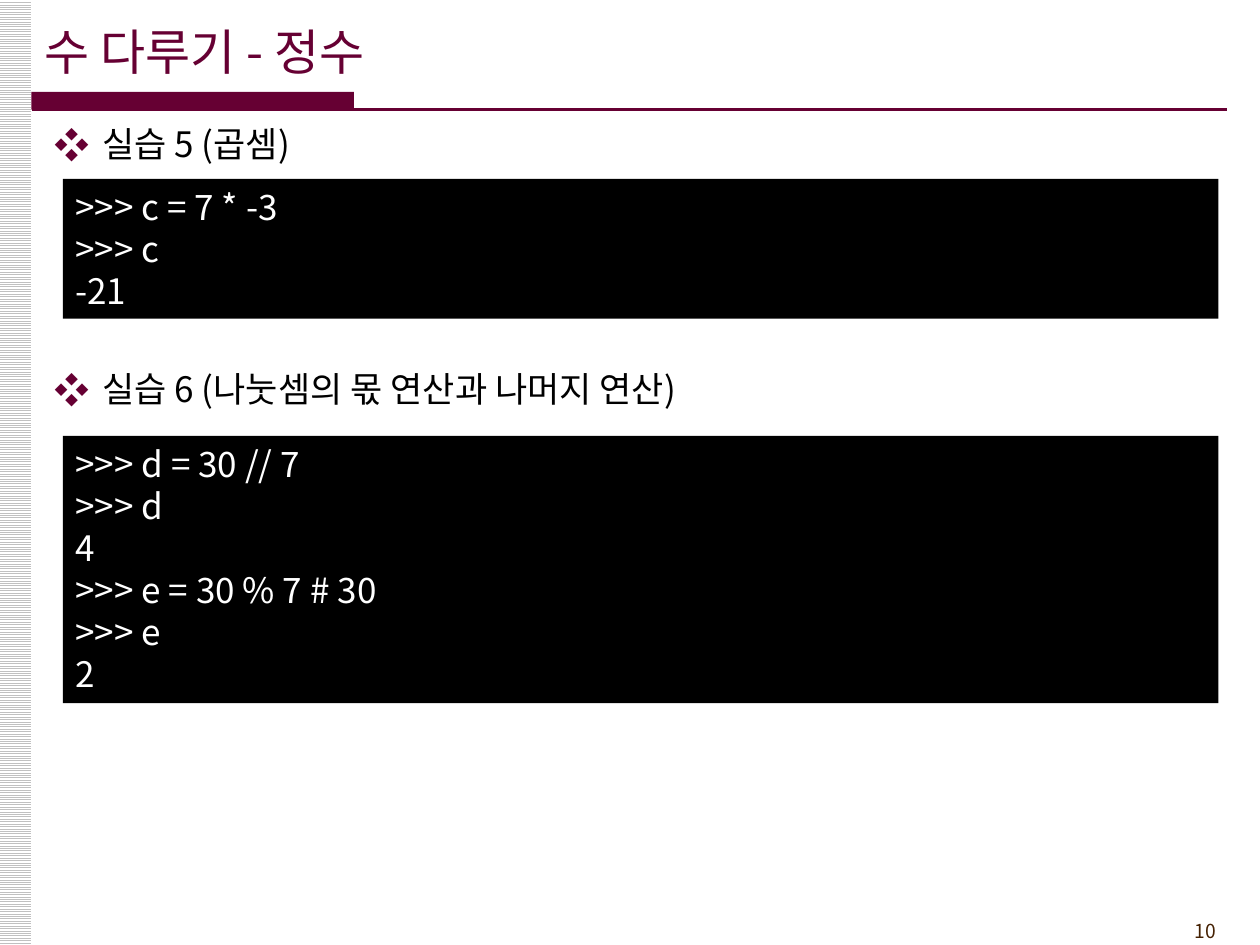
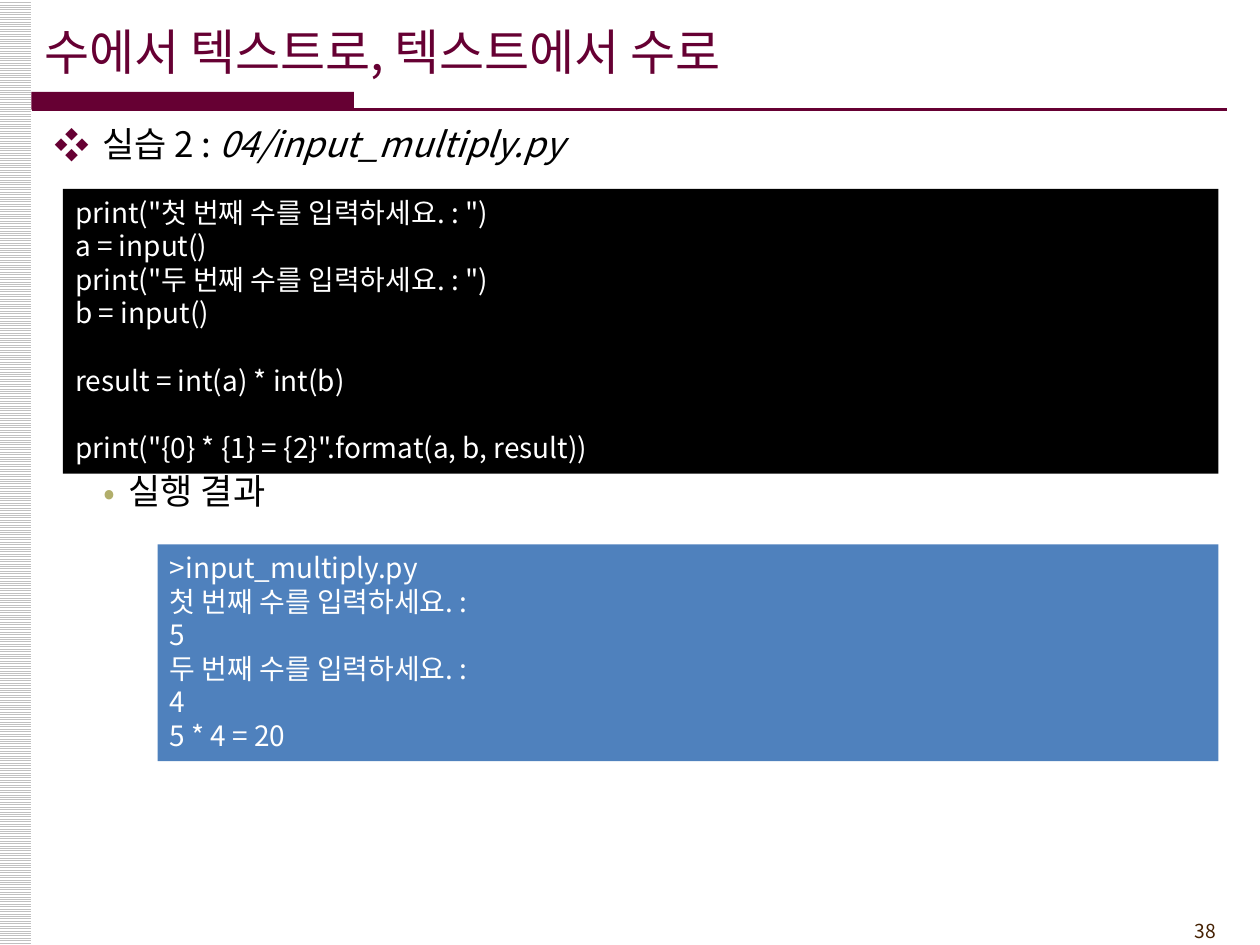
from lxml.etree import SubElement
from pptx import Presentation
from pptx.dml.color import RGBColor
from pptx.enum.dml import MSO_PATTERN as Pattern
from pptx.enum.shapes import MSO_CONNECTOR as Connector, MSO_SHAPE as Shape
from pptx.enum.text import MSO_ANCHOR as Anchor, MSO_AUTO_SIZE as AutoSize, PP_ALIGN as Align
from pptx.oxml.ns import qn
from pptx.util import Inches, Pt

WINE = RGBColor(0x66, 0x00, 0x33)
OLIVE = RGBColor(0xB1, 0xAE, 0x6B)
BROWN = RGBColor(0x45, 0x21, 0x03)
BLUE = RGBColor(0x4F, 0x81, 0xBD)
SILVER = RGBColor(0xC0, 0xC0, 0xC0)
BLACK = RGBColor(0, 0, 0)
WHITE = RGBColor(255, 255, 255)

FONT = "Noto Sans CJK KR"
LINE_RATIO = 1.2      # line height relative to text size
BODY_SIZE = 20
BODY_GAP = 4          # points before each list item
RIGHT_EDGE = 9.67     # shared right side of the code boxes


class Lesson:
    """Holds the deck, its style and the page being built."""

    def __init__(self):
        self.deck = Presentation()
        self.deck.slide_width, self.deck.slide_height = Inches(10), Inches(7.5)
        self.page = None

    def start_page(self, title, number):
        self.page = self.deck.slides.add_slide(self.deck.slide_layouts[1])
        # Side strip, title bar and rule
        strip = self.rect(-0.01, 0, 0.26, 7.5)
        strip.fill.patterned()
        strip.fill.pattern = Pattern.LIGHT_HORIZONTAL
        strip.fill.fore_color.rgb, strip.fill.back_color.rgb = SILVER, WHITE
        self.rect(0.25, 0.73, 2.56, 0.14, WINE)
        self.rule(0.25, 9.74, 0.87)
        # Title
        box = self.page.shapes.title
        self.place(box, 0.25, 0.09, 8.27, 0.63)
        self.frame(box, Anchor.MIDDLE)
        para = box.text_frame.paragraphs[0]
        para.alignment = Align.LEFT
        self.span(para, title, 28, WINE)
        # Page number
        box = self.page.shapes.add_textbox(Inches(8.92), Inches(7.25), Inches(0.83), Inches(0.29))
        self.frame(box)
        para = box.text_frame.paragraphs[0]
        para.alignment = Align.RIGHT
        self.span(para, str(number), 11, BROWN)

    def place(self, box, left, top, width, height):
        box.left, box.top = Inches(left), Inches(top)
        box.width, box.height = Inches(width), Inches(height)

    def frame(self, box, anchor=Anchor.TOP, fit=AutoSize.NONE):
        box.text_frame.word_wrap = True
        box.text_frame.auto_size = fit
        box.text_frame.vertical_anchor = anchor

    def span(self, para, text, size, color, italic=False):
        run = para.add_run()
        run.text = text
        run.font.size, run.font.name = Pt(size), FONT
        run.font.color.rgb = color
        run.font.italic = italic
        SubElement(run.font._element, qn("a:ea"), typeface=FONT)

    def rect(self, left, top, width, height, color=None):
        box = self.page.shapes.add_shape(
            Shape.RECTANGLE, Inches(left), Inches(top), Inches(width), Inches(height))
        box.shadow.inherit = False
        box.line.fill.background()
        if color is not None:
            box.fill.solid()
            box.fill.fore_color.rgb = color
        return box

    def rule(self, left, right, top):
        line = self.page.shapes.add_connector(
            Connector.STRAIGHT, Inches(left), Inches(top), Inches(right), Inches(top))
        line.line.color.rgb, line.line.width = WINE, Pt(1.5)
        SubElement(line._element.spPr, qn("a:effectLst"))

    def bullet(self, para, mark, color, margin, hanging):
        props = para._p.get_or_add_pPr()
        props.set("marL", str(Inches(margin)))
        props.set("indent", str(-Inches(hanging)))
        tint = SubElement(props, qn("a:buClr"))
        SubElement(tint, qn("a:srgbClr"), val=str(color))
        SubElement(props, qn("a:buFont"), typeface=FONT)
        SubElement(props, qn("a:buChar"), char=mark)

    def body(self):
        box = self.page.placeholders[1]
        self.place(box, 0.33, 0.92, 9.5, 6.25)
        self.frame(box)
        return box.text_frame

    def item(self, para, spans, lines_above=0, level=0):
        """Add a list item, leaving room for a code box of some lines above it."""
        pitch = BODY_SIZE * LINE_RATIO + BODY_GAP
        para.level = level
        para.space_before = Pt(BODY_GAP + lines_above * pitch)
        if level:
            para.line_spacing, para.space_after = 1.1, Pt(3)
            self.bullet(para, "•", OLIVE, 0.59, 0.2)
        else:
            self.bullet(para, "❖", WINE, 0.38, 0.38)
        for text, italic in spans:
            self.span(para, text, BODY_SIZE, BLACK, italic)

    def code(self, left, top, height, size, *blocks, color=BLACK):
        """Draw a code box; blocks are set one line apart."""
        box = self.rect(left, top, RIGHT_EDGE - left, height, color)
        self.frame(box, fit=AutoSize.SHAPE_TO_FIT_TEXT)
        para = None
        for block in blocks:
            for index, text in enumerate(block):
                first = para is None
                para = box.text_frame.paragraphs[0] if first else box.text_frame.add_paragraph()
                para.alignment = Align.LEFT
                if index == 0 and not first:
                    para.space_before = Pt(size * LINE_RATIO)
                self.span(para, text, size, WHITE)


def main():
    lesson = Lesson()

    # Integer arithmetic
    lesson.start_page("수 다루기 - 정수", 10)
    body = lesson.body()
    lesson.item(body.paragraphs[0], [("실습 5 (곱셈)", False)])
    lesson.item(body.add_paragraph(),
                [("실습 6 (나눗셈의 몫 연산과 나머지 연산)", False)], lines_above=4)
    lesson.code(0.5, 1.42, 1.11, 20, [">>> c = 7 * -3", ">>> c", "-21"])
    lesson.code(0.5, 3.46, 2.12, 20, [
        ">>> d = 30 // 7", ">>> d", "4", ">>> e = 30 % 7 # 30", ">>> e", "2"])

    # Converting between text and numbers
    lesson.start_page("수에서 텍스트로, 텍스트에서 수로", 38)
    body = lesson.body()
    lesson.item(body.paragraphs[0], [("실습 2 : ", False), ("04/input_multiply.py", True)])
    lesson.item(body.add_paragraph(), [("실행 결과", False)], lines_above=6, level=1)
    lesson.code(
        0.5, 1.5, 2.26, 16,
        ['print("첫 번째 수를 입력하세요. : ")', "a = input()",
         'print("두 번째 수를 입력하세요. : ")', "b = input()"],
        ["result = int(a) * int(b)"],
        ['print("{0} * {1} = {2}".format(a, b, result))'])
    lesson.code(
        1.25, 4.32, 1.72, 16,
        [">input_multiply.py", "첫 번째 수를 입력하세요. :", "5",
         "두 번째 수를 입력하세요. :", "4", "5 * 4 = 20"],
        color=BLUE)

    lesson.deck.save("out.pptx")


if __name__ == "__main__":
    main()
